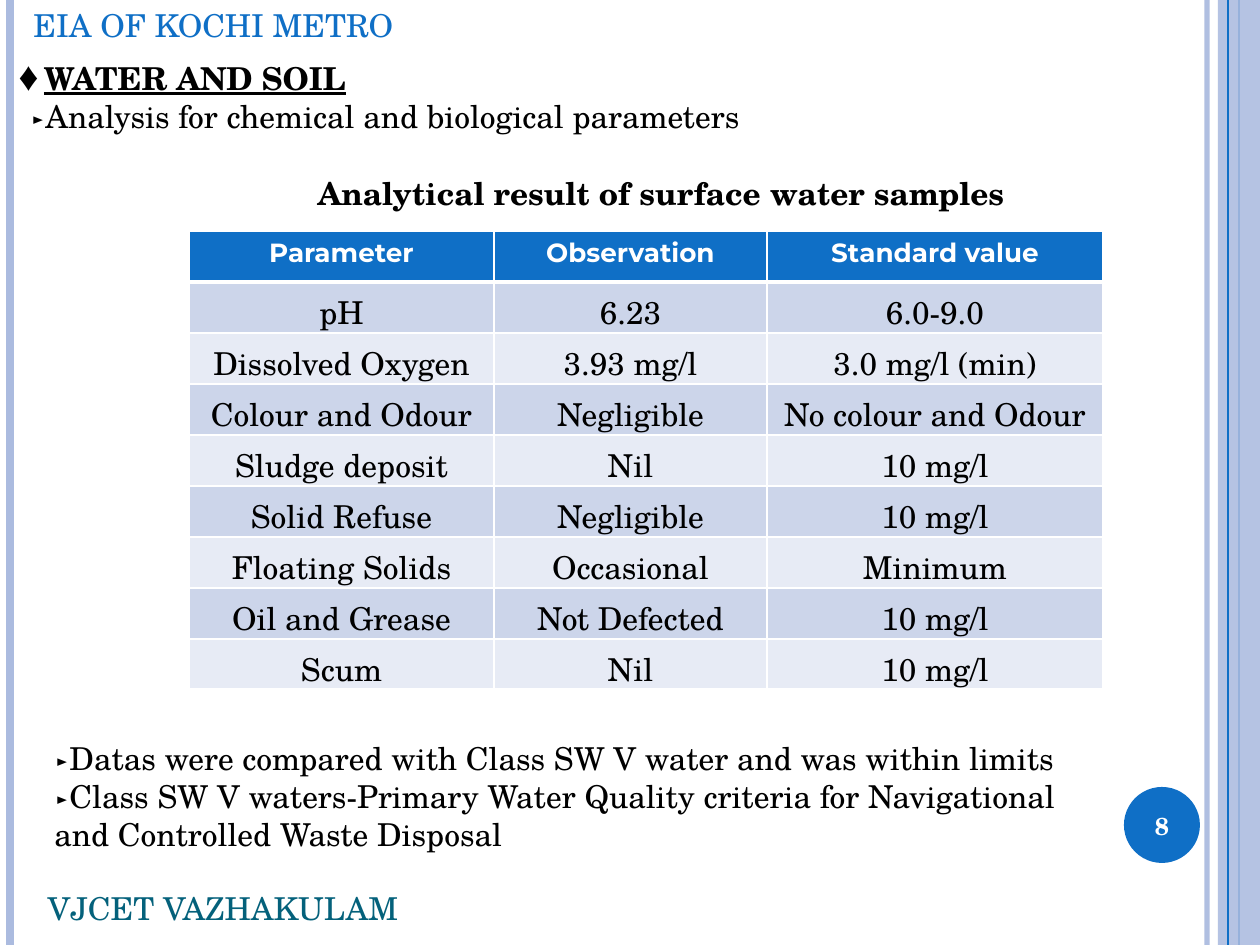
from dataclasses import dataclass

import pptx
import pptx.dml.color
import pptx.enum.shapes
import pptx.enum.text
import pptx.oxml
import pptx.oxml.ns
import pptx.util
from lxml import etree

RGBColor = pptx.dml.color.RGBColor
ALIGN = pptx.enum.text.PP_ALIGN
ANCHOR = pptx.enum.text.MSO_ANCHOR
SHAPES = pptx.enum.shapes.MSO_SHAPE
qn = pptx.oxml.ns.qn

BLUE = RGBColor(0x0F, 0x6F, 0xC6)
TEAL = RGBColor(0x04, 0x61, 0x7B)
PERIWINKLE = RGBColor(0xAB, 0xBB, 0xDF)
BAND_DARK = RGBColor(0xCC, 0xD5, 0xEA)
BAND_LIGHT = RGBColor(0xE7, 0xEB, 0xF5)
BLACK = RGBColor(0, 0, 0)
WHITE = RGBColor(0xFF, 0xFF, 0xFF)

SERIF = "TeX Gyre Schola"
SANS = "Montserrat"
WIDTH, HEIGHT = 1260, 945
PIXELS_PER_INCH = 126


@dataclass(frozen=True)
class Run:
    text: str
    size: int = 18
    color: RGBColor = BLACK
    bold: bool = False
    underline: bool = False
    font: str = SERIF


@dataclass(frozen=True)
class Line:
    runs: tuple[Run, ...]
    align: ALIGN = ALIGN.LEFT
    indent: int = 0


@dataclass(frozen=True)
class TextBlock:
    left: int
    top: int
    width: int
    height: int
    lines: tuple[Line, ...]
    wrap: bool = True
    anchor: ANCHOR = ANCHOR.TOP
    grow: bool = True


@dataclass(frozen=True)
class Stripe:
    """A vertical rule over the full slide height."""
    x: int
    weight: float
    color: RGBColor
    opacity: int = 100


STRIPES = (
    Stripe(1207, 3, PERIWINKLE, 93),
    Stripe(10, 4.5, PERIWINKLE),
    Stripe(1239, 1.5, BLUE),
)
FRONT_STRIPE = Stripe(1228, 0.75, BLUE)

MARK = Run("►", size=12)
TEXT_BLOCKS = (
    TextBlock(0, 53, 1197, 88, (
        Line((Run("♦"), Run("WATER AND SOIL", bold=True, underline=True))),
        Line((MARK, Run("Analysis for chemical and biological parameters")), indent=18),
    )),
    TextBlock(199, 168, 924, 50, (
        Line((Run("Analytical result of surface water samples", bold=True),), ALIGN.CENTER),
    )),
    TextBlock(42, 733, 1081, 126, (
        Line((MARK, Run("Datas were compared with Class SW V water and was within limits"))),
        Line((MARK, Run("Class SW V waters-Primary Water Quality criteria for "
                        "Navigational and Controlled Waste Disposal"))),
    )),
    TextBlock(1120, 790, 84, 72, (
        Line((Run("8", size=14, color=WHITE, bold=True),), ALIGN.CENTER),
    ), anchor=ANCHOR.MIDDLE, grow=False),
    TextBlock(32, 883, 382, 50, (
        Line((Run("VJCET VAZHAKULAM", color=TEAL),), ALIGN.CENTER),
    ), wrap=False),
    TextBlock(21, 0, 391, 50, (Line((Run("EIA OF KOCHI METRO", color=BLUE),)),), wrap=False),
)

TABLE_LEFT, TABLE_TOP = 189, 231
COLUMN_WIDTHS = (305, 273, 336)
ROW_HEIGHT, LAST_ROW_HEIGHT = 51, 50
HEADER_MARGIN, BODY_MARGIN = 6, 7
WATER_RESULTS = (
    ("Parameter", "Observation", "Standard value"),
    ("pH", "6.23", "6.0-9.0"),
    ("Dissolved Oxygen", "3.93 mg/l", "3.0 mg/l (min)"),
    ("Colour and Odour", "Negligible", "No colour and Odour"),
    ("Sludge deposit", "Nil", "10 mg/l"),
    ("Solid Refuse", "Negligible", "10 mg/l"),
    ("Floating Solids", "Occasional", "Minimum"),
    ("Oil and Grease", "Not Defected", "10 mg/l"),
    ("Scum", "Nil", "10 mg/l"),
)


def px(length: int) -> pptx.util.Emu:
    return pptx.util.Emu(round(length * 914400 / PIXELS_PER_INCH))


def set_opacity(properties, percent: int) -> None:
    """Add an alpha value to the first solid colour below properties."""
    color = next(properties.iter(qn("a:srgbClr")))
    etree.SubElement(color, qn("a:alpha")).set("val", str(percent * 1000))


def write_line(paragraph, line: Line) -> None:
    paragraph.alignment = line.align
    if line.indent:
        paragraph._p.get_or_add_pPr().set("marL", str(px(line.indent)))
    for item in line.runs:
        run = paragraph.add_run()
        run.text = item.text
        run.font.name = item.font
        run.font.size = pptx.util.Pt(item.size)
        run.font.bold = item.bold
        run.font.underline = item.underline
        run.font.color.rgb = item.color


def add_text(slide, block: TextBlock) -> None:
    box = slide.shapes.add_textbox(px(block.left), px(block.top), px(block.width), px(block.height))
    frame = box.text_frame
    frame.word_wrap = block.wrap
    frame.vertical_anchor = block.anchor
    if block.grow:
        frame.auto_size = pptx.enum.text.MSO_AUTO_SIZE.SHAPE_TO_FIT_TEXT
    for index, line in enumerate(block.lines):
        write_line(frame.add_paragraph() if index else frame.paragraphs[0], line)


def add_stripe(slide, stripe: Stripe) -> None:
    connector = slide.shapes.add_connector(
        pptx.enum.shapes.MSO_CONNECTOR.STRAIGHT, px(stripe.x), 0, px(stripe.x), px(HEIGHT))
    connector.line.color.rgb = stripe.color
    connector.line.width = pptx.util.Pt(stripe.weight)
    properties = connector._element.spPr
    if stripe.opacity < 100:
        set_opacity(properties, stripe.opacity)
    etree.SubElement(properties, qn("a:effectLst"))


def add_plain_shape(slide, kind: SHAPES, left: int, top: int, width: int, height: int,
                    color: RGBColor):
    shape = slide.shapes.add_shape(kind, px(left), px(top), px(width), px(height))
    shape.shadow.inherit = False
    shape.fill.solid()
    shape.fill.fore_color.rgb = color
    shape.line.fill.background()
    return shape


def set_borders(cell, bottom_weight: int) -> None:
    properties = cell._tc.get_or_add_tcPr()
    weights = {"lnL": 1, "lnR": 1, "lnT": 1, "lnB": bottom_weight}
    for position, (tag, weight) in enumerate(weights.items()):
        border = pptx.oxml.parse_xml(
            f'<a:{tag} {pptx.oxml.ns.nsdecls("a")} w="{pptx.util.Pt(weight)}">'
            f'<a:solidFill><a:srgbClr val="{WHITE}"/></a:solidFill></a:{tag}>')
        properties.insert(position, border)


def add_results_table(slide) -> None:
    heights = [ROW_HEIGHT] * (len(WATER_RESULTS) - 1) + [LAST_ROW_HEIGHT]
    table = slide.shapes.add_table(
        len(heights), len(COLUMN_WIDTHS), px(TABLE_LEFT), px(TABLE_TOP),
        px(sum(COLUMN_WIDTHS)), px(sum(heights))).table
    for column, width in zip(table.columns, COLUMN_WIDTHS):
        column.width = px(width)
    for row_index, (row, height, values) in enumerate(zip(table.rows, heights, WATER_RESULTS)):
        row.height = px(height)
        header = row_index == 0
        band = BLUE if header else (BAND_LIGHT, BAND_DARK)[row_index % 2]
        for cell, value in zip(row.cells, values):
            cell.margin_top = px(HEADER_MARGIN if header else BODY_MARGIN)
            cell.margin_bottom = 0
            cell.margin_left = cell.margin_right = px(8)
            cell.fill.solid()
            cell.fill.fore_color.rgb = band
            set_borders(cell, 3 if header else 1)
            run = Run(value, 15, WHITE, True, font=SANS) if header else Run(value)
            write_line(cell.text_frame.paragraphs[0], Line((run,), ALIGN.CENTER))


def main() -> None:
    presentation = pptx.Presentation()
    presentation.slide_width, presentation.slide_height = px(WIDTH), px(HEIGHT)
    slide = presentation.slides.add_slide(presentation.slide_layouts[6])
    for stripe in STRIPES:
        add_stripe(slide, stripe)
    side_band = add_plain_shape(slide, SHAPES.RECTANGLE, 1218, 0, 42, HEIGHT, PERIWINKLE)
    set_opacity(side_band._element.spPr, 87)
    add_stripe(slide, FRONT_STRIPE)
    add_plain_shape(slide, SHAPES.OVAL, 1124, 787, 76, 76, BLUE)
    for block in TEXT_BLOCKS:
        add_text(slide, block)
    add_results_table(slide)
    presentation.save("out.pptx")


if __name__ == "__main__":
    main()
